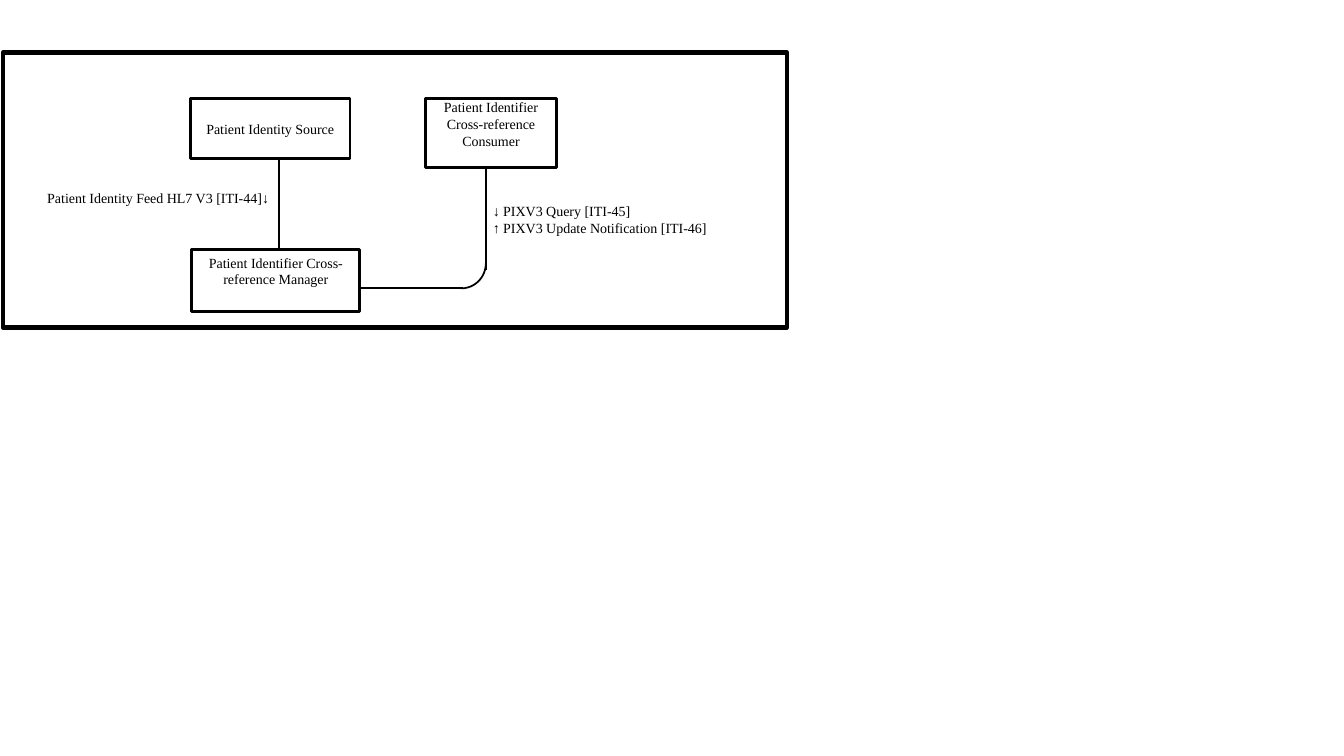
"""Build the actor diagram for patient identifier cross-referencing."""
import pptx
import pptx.dml.color
import pptx.enum.shapes
import pptx.enum.text
import pptx.util

Pt = pptx.util.Pt
SHAPE = pptx.enum.shapes.MSO_SHAPE
ALIGN = pptx.enum.text.PP_ALIGN
ANCHOR = pptx.enum.text.MSO_ANCHOR
BLACK = pptx.dml.color.RGBColor(0, 0, 0)
WHITE = pptx.dml.color.RGBColor(255, 255, 255)


def write(text, *, box, align, anchor=ANCHOR.TOP, inset=(0, 0)):
    frame = box.text_frame
    frame.word_wrap = True
    frame.vertical_anchor = anchor
    frame.margin_left = frame.margin_right = Pt(inset[0])
    frame.margin_top = frame.margin_bottom = Pt(inset[1])
    frame.text = text
    for para in frame.paragraphs:
        para.alignment = align
        para.font.name = "Times New Roman"
        para.font.size = Pt(10)
        para.font.color.rgb = BLACK


deck = pptx.Presentation()
deck.slide_width = Pt(960)
deck.slide_height = Pt(540)
page = deck.slides.add_slide(deck.slide_layouts[6])

border = page.shapes.add_shape(SHAPE.RECTANGLE, Pt(2), Pt(37.5), Pt(560), Pt(196.5))
border.shadow.inherit = False
border.fill.background()
border.line.color.rgb = BLACK
border.line.width = Pt(3)

links = [
    (199.5, 103.5, 199.5, 193),
    (347, 119, 347, 193),
    (257, 206, 331, 206),
]
for start_x, start_y, end_x, end_y in links:
    link = page.shapes.add_connector(
        pptx.enum.shapes.MSO_CONNECTOR.STRAIGHT,
        Pt(start_x), Pt(start_y), Pt(end_x), Pt(end_y))
    link.line.color.rgb = BLACK
    link.line.width = Pt(1.5)
    effects = pptx.oxml.parse_xml(
        '<a:effectLst xmlns:a="http://schemas.openxmlformats.org/drawingml/2006/main"/>')
    link._element.spPr.append(effects)

bend = page.shapes.add_shape(SHAPE.ARC, Pt(312), Pt(170.5), Pt(35), Pt(35.5))
bend.adjustments[0] = 0
bend.adjustments[1] = 54
bend.shadow.inherit = False
bend.fill.background()
bend.line.color.rgb = BLACK
bend.line.width = Pt(1.25)

labels = [
    ("Patient Identity Feed HL7 V3 [ITI-44]↓", 21, 135.5, 171, 15, ALIGN.RIGHT),
    ("↓ PIXV3 Query [ITI-45]\n↑ PIXV3 Update Notification [ITI-46]",
     352, 145, 164, 39, ALIGN.LEFT),
]
for text, left, top, width, height, align in labels:
    label = page.shapes.add_textbox(Pt(left), Pt(top), Pt(width), Pt(height))
    write(text, box=label, align=align)

actors = [
    ("Patient Identity Source", 136, 70.5, 114, 42.5, ANCHOR.MIDDLE, (7.2, 3.6)),
    ("Patient Identifier Cross-reference Manager", 137, 178, 120, 44.5,
     ANCHOR.TOP, (7.2, 3.6)),
    ("Patient Identifier Cross-reference Consumer", 304, 70.5, 93.5, 49,
     ANCHOR.TOP, (0, 0)),
]
for text, left, top, width, height, anchor, inset in actors:
    actor = page.shapes.add_shape(
        SHAPE.RECTANGLE, Pt(left), Pt(top), Pt(width), Pt(height))
    actor.shadow.inherit = False
    actor.fill.solid()
    actor.fill.fore_color.rgb = WHITE
    actor.line.color.rgb = BLACK
    actor.line.width = Pt(2)
    write(text, box=actor, align=ALIGN.CENTER, anchor=anchor, inset=inset)

deck.save("out.pptx")
